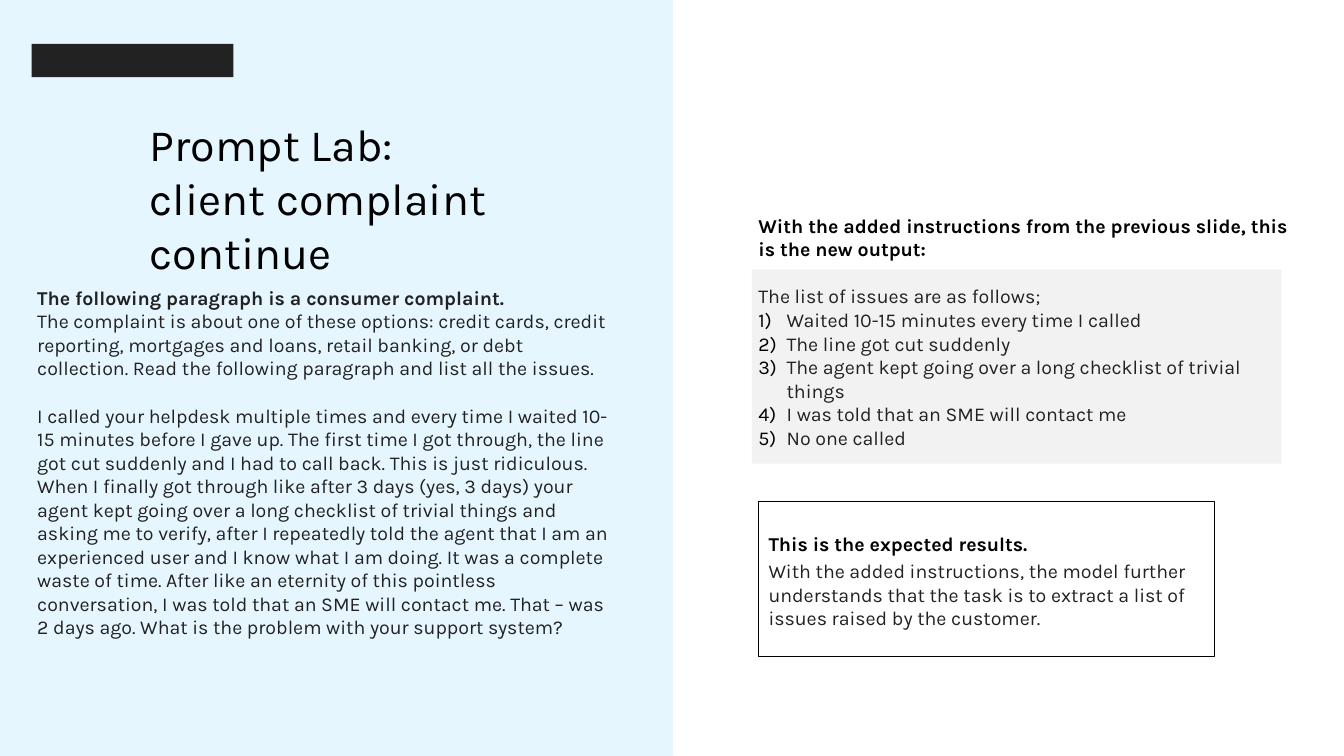
from dataclasses import dataclass

from lxml.etree import SubElement
from pptx import Presentation
from pptx.dml.color import RGBColor as Color
from pptx.enum.shapes import MSO_SHAPE as Shape
from pptx.enum.text import MSO_ANCHOR as Anchor, PP_ALIGN as Align
from pptx.oxml.ns import qn
from pptx.util import Inches, Pt


@dataclass(frozen=True)
class Theme:
    black: str = "000000"
    ink: str = "222222"
    pale_blue: str = "E5F6FF"
    pale_gray: str = "F2F2F2"
    font: str = "Karla"
    body_size: float = 28
    title_size: float = 64
    blank_line: float = 33.7
    list_indent: float = 0.56


class SlideBuilder:
    def __init__(self, slide, theme):
        self.slide = slide
        self.theme = theme

    def rectangle(self, left, top, width, height, fill=None, line=None, weight=1):
        shape = self.slide.shapes.add_shape(
            Shape.RECTANGLE, Inches(left), Inches(top), Inches(width), Inches(height))
        shape.shadow.inherit = False
        if fill:
            shape.fill.solid()
            shape.fill.fore_color.rgb = Color.from_string(fill)
        else:
            shape.fill.background()
        if line:
            shape.line.color.rgb = Color.from_string(line)
            shape.line.width = Pt(weight)
        else:
            shape.line.fill.background()
        return shape

    def text_box(self, left, top, width, height, insets=(0, 0, 0, 0)):
        shape = self.slide.shapes.add_textbox(
            Inches(left), Inches(top), Inches(width), Inches(height))
        return self.frame(shape, insets)

    def frame(self, shape, insets, anchor=Anchor.TOP):
        frame = shape.text_frame
        frame.word_wrap = True
        frame.vertical_anchor = anchor
        frame.margin_left, frame.margin_top, frame.margin_right, frame.margin_bottom = (
            Inches(inset) for inset in insets)
        return frame

    def paragraph(self, frame, text="", before=0, **style):
        paragraph = frame.paragraphs[0]
        if paragraph.runs:
            paragraph = frame.add_paragraph()
        paragraph.alignment = Align.LEFT
        if before:
            paragraph.space_before = Pt(before)
        for index, line in enumerate(text.split("\n") if text else ()):
            if index:
                paragraph.add_line_break()
            self.run(paragraph, line, **style)
        return paragraph

    def run(self, paragraph, text, color=None, size=None, bold=False):
        run = paragraph.add_run()
        run.text = text
        run.font.name = self.theme.font
        run.font.size = Pt(size or self.theme.body_size)
        run.font.bold = bold
        run.font.color.rgb = Color.from_string(color or self.theme.ink)

    def numbered_list(self, frame, items):
        indent = Inches(self.theme.list_indent)
        for item in items:
            paragraph = self.paragraph(frame)
            properties = paragraph._p.get_or_add_pPr()
            properties.set("marL", str(indent))
            properties.set("indent", str(-indent))
            bullet_color = SubElement(properties, qn("a:buClr"))
            SubElement(bullet_color, qn("a:srgbClr"), val=self.theme.black)
            SubElement(properties, qn("a:buFont"), typeface=self.theme.font)
            SubElement(properties, qn("a:buAutoNum"), type="arabicParenR")
            self.run(paragraph, item)


def main():
    theme = Theme()
    presentation = Presentation()
    presentation.slide_width = Inches(26.67)
    presentation.slide_height = Inches(15)
    slide = presentation.slides.add_slide(presentation.slide_layouts[6])
    builder = SlideBuilder(slide, theme)

    builder.rectangle(14.92, 5.35, 10.51, 3.85, fill=theme.pale_gray)
    builder.rectangle(0, 0, 13.34, 15, fill=theme.pale_blue, line=theme.pale_blue, weight=1.5)
    builder.rectangle(0.63, 0.87, 4, 0.66, fill=theme.ink)

    title = builder.text_box(2.7, 2.05, 10.5, 2.69, (0.27, 0.27, 0.27, 0.27))
    builder.paragraph(title, "Prompt Lab:\nclient complaint\ncontinue",
                      color=theme.black, size=theme.title_size)

    prompt = builder.text_box(0.64, 5.62, 11.6, 9.16, (0.1, 0.05, 0.1, 0.05))
    builder.paragraph(prompt, "The following paragraph is a consumer complaint.", bold=True)
    builder.paragraph(
        prompt,
        "The complaint is about one of these options: credit cards, credit reporting, "
        "mortgages and loans, retail banking, or debt collection. Read the following "
        "paragraph and list all the issues.")
    builder.paragraph(
        prompt,
        "I called your helpdesk multiple times and every time I waited 10-15 minutes before "
        "I gave up. The first time I got through, the line got cut suddenly and I had to call "
        "back. This is just ridiculous. When I finally got through like after 3 days (yes, 3 "
        "days) your agent kept going over a long checklist of trivial things and asking me to "
        "verify, after I repeatedly told the agent that I am an experienced user and I know "
        "what I am doing. It was a complete waste of time. After like an eternity of this "
        "pointless conversation, I was told that an SME will contact me. That – was 2 days "
        "ago. What is the problem with your support system?",
        before=theme.blank_line)

    output = builder.text_box(15.05, 4.24, 10.51, 4.95)
    builder.paragraph(
        output, "With the added instructions from the previous slide, this is the new output:",
        color=theme.black, bold=True)
    builder.paragraph(output, "The list of issues are as follows;", before=theme.blank_line)
    builder.numbered_list(output, (
        "Waited 10-15 minutes every time I called",
        "The line got cut suddenly",
        "The agent kept going over a long checklist of trivial things",
        "I was told that an SME will contact me",
        "No one called",
    ))

    results_box = builder.rectangle(15.05, 9.94, 9.05, 3.08, line=theme.black)
    results = builder.frame(results_box, (0.2, 0.08, 0, 0), Anchor.MIDDLE)
    builder.paragraph(results, "This is the expected results.", color=theme.black, bold=True)
    builder.paragraph(
        results,
        "With the added instructions, the model further\n"
        "understands that the task is to extract a list of\n"
        "issues raised by the customer.",
        before=6)

    presentation.save("out.pptx")


if __name__ == "__main__":
    main()
